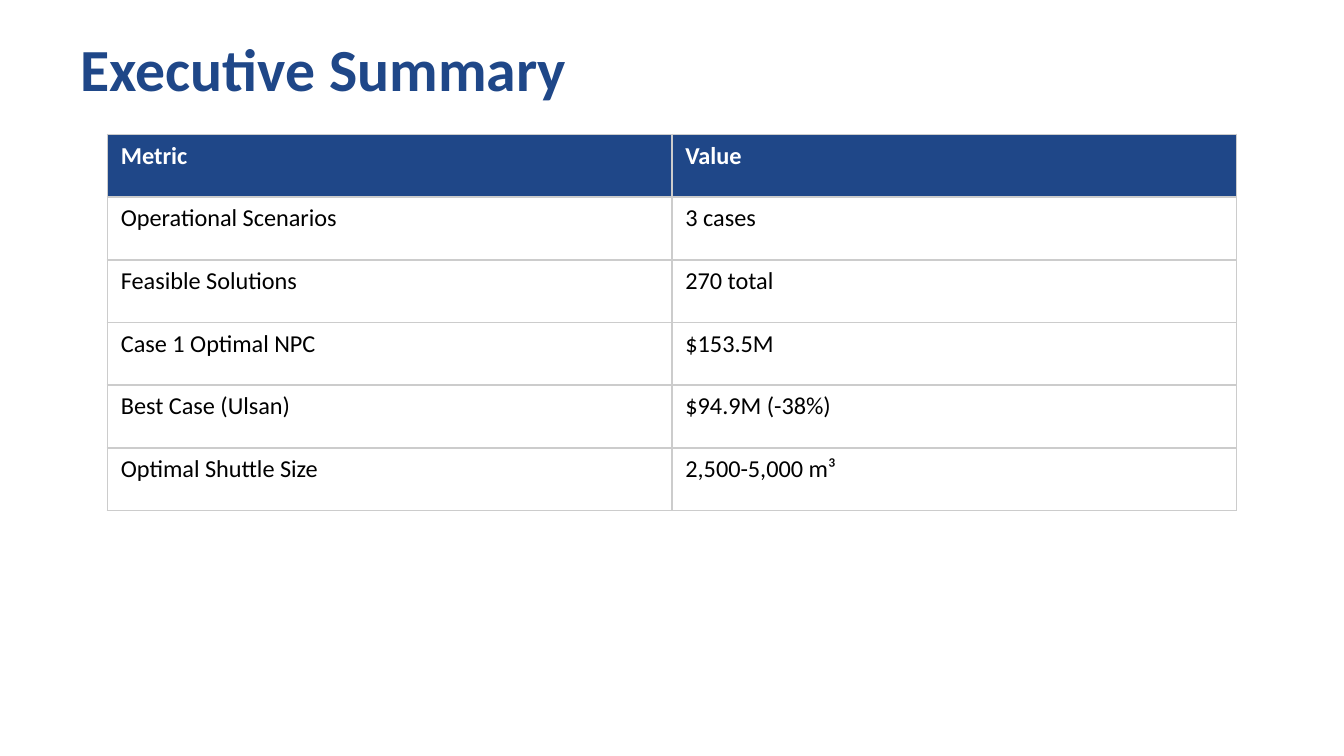
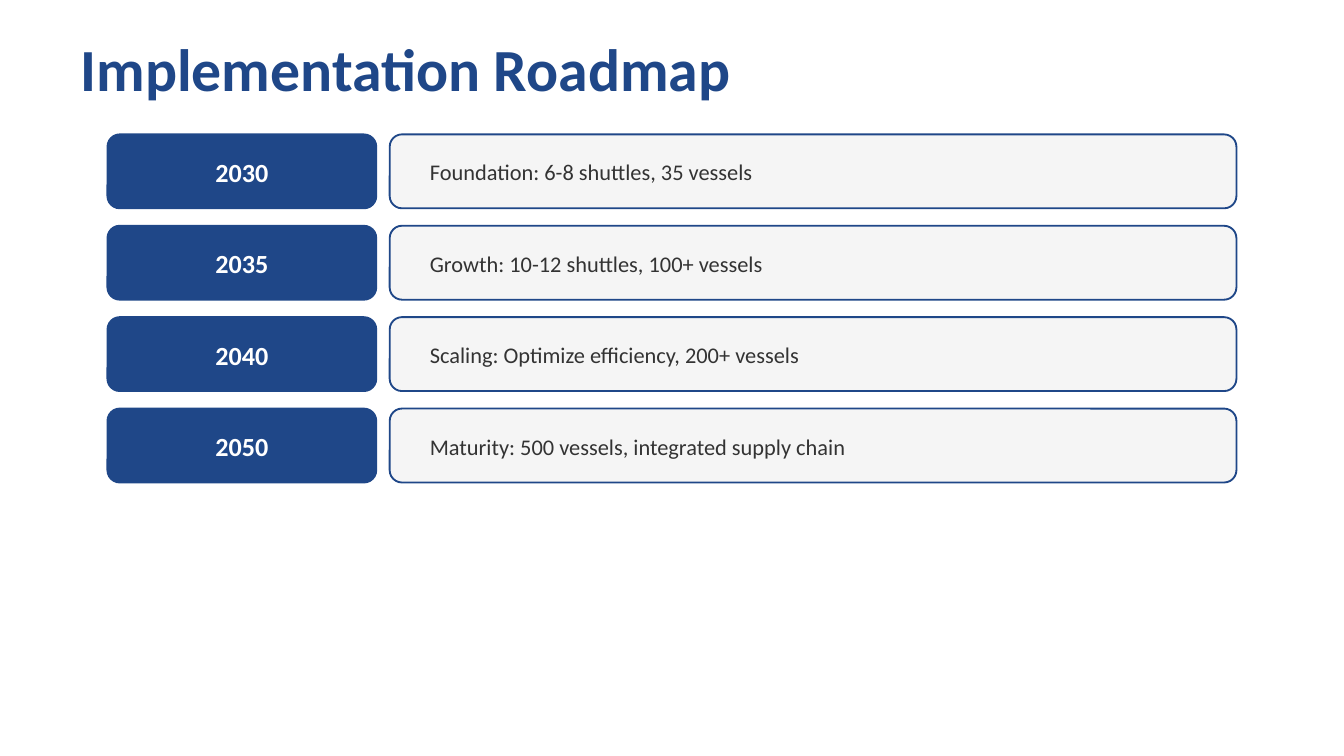
from dataclasses import dataclass

from lxml.etree import SubElement as Sub
from pptx import Presentation
from pptx.dml.color import RGBColor as Rgb
from pptx.enum.shapes import MSO_SHAPE as Preset
from pptx.enum.text import MSO_ANCHOR as Anchor, MSO_AUTO_SIZE as AutoSize, PP_ALIGN as Align
from pptx.oxml.ns import qn
from pptx.util import Emu, Pt

PX = 4572
TITLE_ONLY = 5


@dataclass(frozen=True)
class Theme:
    """Colours, font and type sizes shared by all slides."""
    font: str = "Calibri"
    navy: str = "1F4788"
    white: str = "FFFFFF"
    black: str = "000000"
    ink: str = "333333"
    panel: str = "F5F5F5"
    rule: str = "CCCCCC"
    title_size: int = 32
    year_size: int = 14
    cell_size: int = 13
    phase_size: int = 12
    line_width: int = 1


class DeckBuilder:
    """Holds the theme, the deck and the page being filled."""

    def __init__(self, theme, width, height):
        """Start an empty deck of the given size."""
        self.theme = theme
        self.deck = Presentation()
        self.deck.slide_width, self.deck.slide_height = self.px(width, height)
        self.page = None

    @staticmethod
    def px(*lengths):
        """Turn px lengths into EMU."""
        return [Emu(length * PX) for length in lengths]

    def add_span(self, frame, text, size, color, bold=False, align=Align.LEFT):
        """Add one formatted run to the first paragraph of a frame."""
        para = frame.paragraphs[0]
        para.alignment = align
        span = para.add_run()
        span.text = text
        span.font.name = self.theme.font
        span.font.size = Pt(size)
        span.font.bold = bold
        span.font.color.rgb = Rgb.from_string(color)

    def add_page(self, title):
        """Start a page with its title."""
        self.page = self.deck.slides.add_slide(self.deck.slide_layouts[TITLE_ONLY])
        box = self.page.shapes.title
        box.left, box.top, box.width, box.height = self.px(100, 60, 1800, 80)
        frame = box.text_frame
        frame.auto_size = AutoSize.NONE
        frame.vertical_anchor = Anchor.MIDDLE
        self.add_span(frame, title, self.theme.title_size, self.theme.navy, bold=True)

    def add_label(self, left, top, width, height, text, size, color, **style):
        """Place a vertically centred line of text."""
        box = self.page.shapes.add_textbox(*self.px(left, top, width, height))
        frame = box.text_frame
        frame.word_wrap = True
        frame.vertical_anchor = Anchor.MIDDLE
        self.add_span(frame, text, size, color, **style)

    def add_card(self, left, top, width, height, fill):
        """Draw a rounded card outlined in navy."""
        box = self.page.shapes.add_shape(
            Preset.ROUNDED_RECTANGLE, *self.px(left, top, width, height))
        box.shadow.inherit = False
        box.fill.solid()
        box.fill.fore_color.rgb = Rgb.from_string(fill)
        box.line.color.rgb = Rgb.from_string(self.theme.navy)
        box.line.width = Pt(self.theme.line_width)

    def add_borders(self, cell):
        """Rule all four sides of a table cell."""
        properties = cell._tc.get_or_add_tcPr()
        for side in ("a:lnL", "a:lnR", "a:lnT", "a:lnB"):
            line = Sub(properties, qn(side), w=str(Pt(self.theme.line_width)))
            Sub(Sub(line, qn("a:solidFill")), qn("a:srgbClr"), val=self.theme.rule)

    def add_table(self, left, top, width, height, rows):
        """Add a ruled table whose first row is the header."""
        theme = self.theme
        table = self.page.shapes.add_table(
            len(rows), len(rows[0]), *self.px(left, top, width, height)).table
        table.horz_banding = False
        for row_index, row in enumerate(rows):
            header = row_index == 0
            for column_index, text in enumerate(row):
                cell = table.cell(row_index, column_index)
                self.add_borders(cell)
                if header:
                    cell.fill.solid()
                    cell.fill.fore_color.rgb = Rgb.from_string(theme.navy)
                else:
                    cell.fill.background()
                self.add_span(cell.text_frame, text, theme.cell_size,
                              theme.white if header else theme.black, bold=header)

    def add_milestone(self, top, year, phase):
        """Add one roadmap row: a year card and a phase card."""
        theme = self.theme
        label_top = top + 16
        self.add_card(160, top, 400, 110, theme.navy)
        self.add_label(160, label_top, 400, 80, year, theme.year_size,
                       theme.white, bold=True, align=Align.CENTER)
        self.add_card(580, top, 1260, 110, theme.panel)
        self.add_label(620, label_top, 1200, 80, phase, theme.phase_size, theme.ink)


METRICS = [
    ("Metric", "Value"),
    ("Operational Scenarios", "3 cases"),
    ("Feasible Solutions", "270 total"),
    ("Case 1 Optimal NPC", "$153.5M"),
    ("Best Case (Ulsan)", "$94.9M (-38%)"),
    ("Optimal Shuttle Size", "2,500-5,000 m³"),
]

MILESTONES = [
    ("2030", "Foundation: 6-8 shuttles, 35 vessels"),
    ("2035", "Growth: 10-12 shuttles, 100+ vessels"),
    ("2040", "Scaling: Optimize efficiency, 200+ vessels"),
    ("2050", "Maturity: 500 vessels, integrated supply chain"),
]


def main():
    """Build both slides and save the deck."""
    builder = DeckBuilder(Theme(), 2000, 1125)

    builder.add_page("Executive Summary")
    builder.add_table(160, 200, 1680, 560, METRICS)

    builder.add_page("Implementation Roadmap")
    for index, (year, phase) in enumerate(MILESTONES):
        builder.add_milestone(200 + index * 136, year, phase)

    builder.deck.save("out.pptx")


if __name__ == "__main__":
    main()
